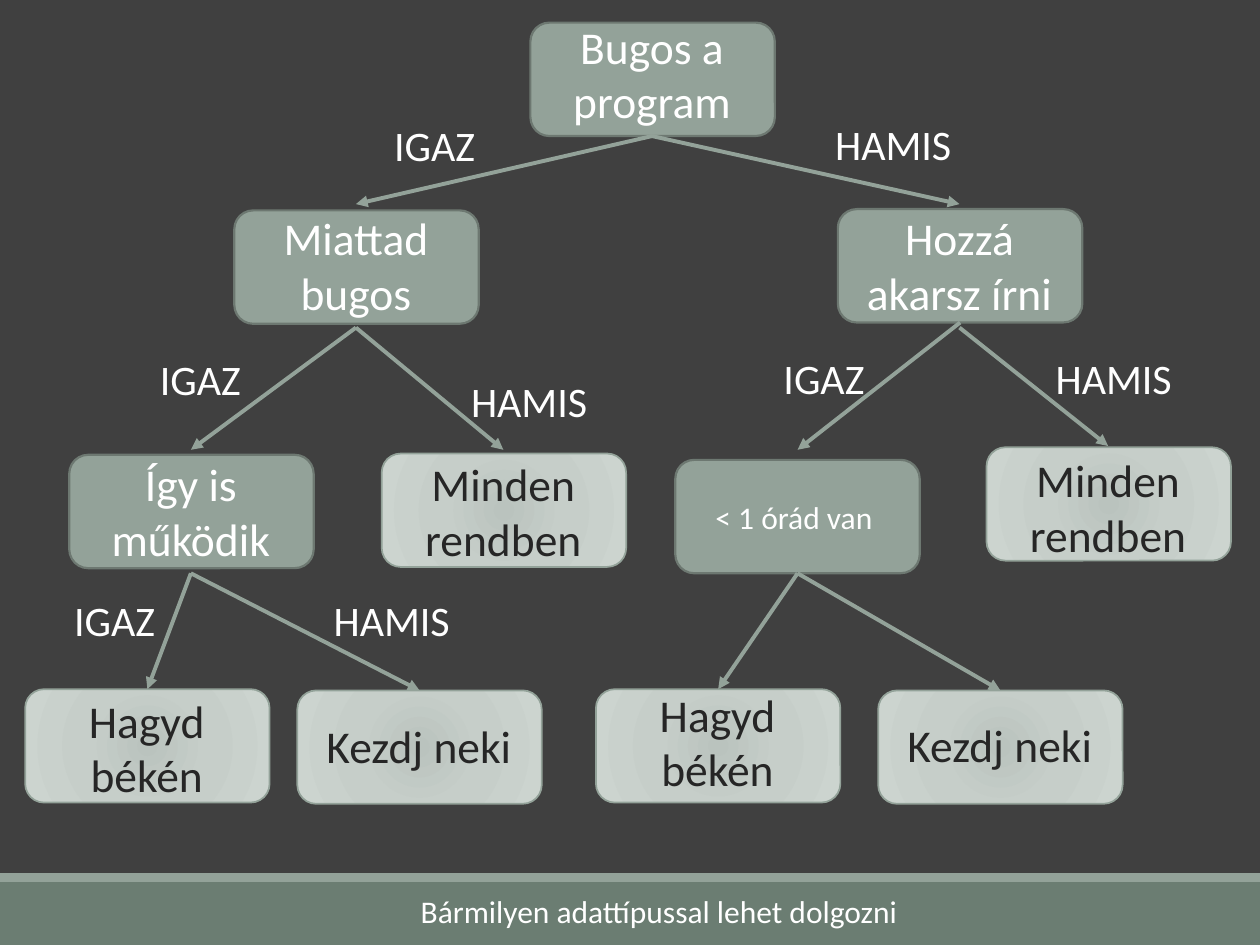
from dataclasses import dataclass

from lxml import etree
from pptx import Presentation
from pptx import util as u
from pptx.dml.color import RGBColor
from pptx.enum import shapes, text
from pptx.oxml import parse_xml
from pptx.oxml.ns import nsdecls, qn

PX = u.Inches(1) // 100  # 100 px to the inch
NODE_W, NODE_H = 194, 90
TOP, BOTTOM = 0, 2


@dataclass(frozen=True)
class Theme:
    font: str = "Calibri"
    ground: str = "404040"
    footer: str = "6B7D72"
    sage: str = "93A299"
    outline: str = "6D7871"
    light: str = "FFFFFF"
    dark: str = "262626"
    glow: tuple = ((0, "BAC3BE"), (45, "C6CEC9"), (100, "CCD4CF"))
    node_size: int = 26
    branch_size: int = 24
    small_size: int = 18


@dataclass(frozen=True)
class Node:
    """A question or a leaf; without label_top the words sit in the box itself."""
    key: str
    words: str
    left: int
    top: int
    label_top: int | None = None
    label_height: int = 98
    leaf: bool = False


@dataclass(frozen=True)
class Edge:
    """An arrow joined to the label of each node, or to its box."""
    parent: str
    child: str
    from_label: bool = True
    to_label: bool = True


@dataclass(frozen=True)
class Caption:
    words: str
    left: int
    top: int
    width: int
    height: int = 50
    size: int = Theme.branch_size


THEME = Theme()

NODES = [
    Node("works", "Így is működik", 55, 361, 357),
    Node("fine left", "Minden rendben", 303, 360, 357, leaf=True),
    Node("buggy", "Bugos a program", 421, 18, 10),
    Node("your fault", "Miattad bugos", 186, 167, 162),
    Node("touch it", "Hozzá akarsz írni", 665, 166, 162),
    Node("leave left", "Hagyd békén", 20, 547, 545, leaf=True),
    Node("start left", "Kezdj neki", 236, 548, 565, 54, leaf=True),
    Node("leave right", "Hagyd békén", 473, 547, 540, leaf=True),
    Node("start right", "Kezdj neki", 697, 548, 564, 54, leaf=True),
    Node("fine right", "Minden rendben", 783, 355, 354, leaf=True),
    Node("hour", "< 1 órád van ", 536, 365),
]

EDGES = [
    Edge("buggy", "your fault"),
    Edge("buggy", "touch it"),
    Edge("your fault", "works"),
    Edge("your fault", "fine left"),
    Edge("works", "leave left", to_label=False),
    Edge("works", "start left", to_label=False),
    Edge("touch it", "fine right"),
    Edge("hour", "leave right", from_label=False, to_label=False),
    Edge("hour", "start right", from_label=False, to_label=False),
]

CAPTIONS = [
    *(Caption("IGAZ", left, top, 90)
      for left, top in ((117, 276), (303, 90), (49, 467), (612, 275))),
    *(Caption("HAMIS", left, top, 134)
      for left, top in ((653, 89), (255, 467), (364, 293), (828, 275))),
    Caption("Bármilyen adattípussal lehet dolgozni", 324, 703, 402, 42, THEME.small_size),
]


def rgb(code: str) -> RGBColor:
    return RGBColor.from_string(code)


def px(*lengths: int) -> list[int]:
    return [length * PX for length in lengths]


def write(shape, words: str, size: int, color: str, align=text.PP_ALIGN.CENTER) -> None:
    shape.text_frame.word_wrap = True
    para = shape.text_frame.paragraphs[0]
    para.text = words
    para.alignment = align
    font = para.runs[0].font
    font.name, font.size = THEME.font, u.Pt(size)
    font.color.rgb = rgb(color)


def add_box(parent, kind, left: int, top: int, width: int, height: int, fill: str):
    box = parent.shapes.add_shape(kind, *px(left, top, width, height))
    box.shadow.inherit = False
    box.fill.solid()
    box.fill.fore_color.rgb = rgb(fill)
    box.line.fill.background()
    return box


def add_label(parent, words: str, area: tuple, size: int, color: str, align):
    label = parent.shapes.add_textbox(*px(*area))
    write(label, words, size, color, align)
    label.text_frame.auto_size = text.MSO_AUTO_SIZE.SHAPE_TO_FIT_TEXT
    return label


def add_glow(box) -> None:
    """Replace the plain fill by the circular gradient of the leaves."""
    stops = "".join(f'<a:gs pos="{at * 1000}"><a:srgbClr val="{code}"/></a:gs>'
                    for at, code in THEME.glow)
    gradient = parse_xml(
        f'<a:gradFill {nsdecls("a")} rotWithShape="1"><a:gsLst>{stops}</a:gsLst>'
        '<a:path path="circle"><a:fillToRect l="100000" t="100000" r="100000" b="100000"/>'
        '</a:path></a:gradFill>')
    properties = box.element.spPr
    properties.replace(properties.find(qn("a:solidFill")), gradient)


def add_node(page, node: Node) -> tuple:
    """Draw a node and return its box and the shape that carries its words."""
    group = page.shapes.add_group_shape()
    box = add_box(group, shapes.MSO_SHAPE.ROUNDED_RECTANGLE,
                  node.left, node.top, NODE_W, NODE_H, THEME.sage)
    box.line.color.rgb = rgb(THEME.sage if node.leaf else THEME.outline)
    box.line.width = u.Pt(1 if node.leaf else 1.25)
    if node.leaf:
        add_glow(box)
    if node.label_top is None:
        write(box, node.words, THEME.small_size, THEME.light)
        return box, box
    width = 167 if node.leaf else 179
    area = (node.left + (NODE_W - width) // 2, node.label_top, width, node.label_height)
    label = add_label(group, node.words, area, THEME.node_size,
                      THEME.dark if node.leaf else THEME.light, text.PP_ALIGN.CENTER)
    return box, label


def add_arrow(page, start: tuple = (0, 0), end: tuple = (0, 0)):
    arrow = page.shapes.add_connector(shapes.MSO_CONNECTOR.STRAIGHT, *px(*start, *end))
    arrow.line.color.rgb = rgb(THEME.sage)
    arrow.line.width = u.Pt(2.25)
    properties = arrow.element.spPr
    etree.SubElement(properties.find(qn("a:ln")), qn("a:tailEnd"), type="triangle")
    etree.SubElement(properties, qn("a:effectLst"))
    return arrow


def main() -> None:
    deck = Presentation()
    deck.slide_width, deck.slide_height = px(1000, 750)
    page = deck.slides.add_slide(deck.slide_layouts[6])
    page.background.fill.solid()
    page.background.fill.fore_color.rgb = rgb(THEME.ground)

    add_box(page, shapes.MSO_SHAPE.RECTANGLE, 0, 700, 1000, 50, THEME.footer)
    add_box(page, shapes.MSO_SHAPE.RECTANGLE, 0, 693, 1000, 7, THEME.sage)

    drawn = {node.key: add_node(page, node) for node in NODES}
    for edge in EDGES:
        arrow = add_arrow(page)
        arrow.begin_connect(drawn[edge.parent][edge.from_label], BOTTOM)
        arrow.end_connect(drawn[edge.child][edge.to_label], TOP)
    hour_arrow = add_arrow(page, end=(633, 357))
    hour_arrow.begin_connect(drawn["touch it"][0], BOTTOM)

    for caption in CAPTIONS:
        area = (caption.left, caption.top, caption.width, caption.height)
        add_label(page, caption.words, area, caption.size, THEME.light, text.PP_ALIGN.LEFT)
    deck.save("out.pptx")


if __name__ == "__main__":
    main()
